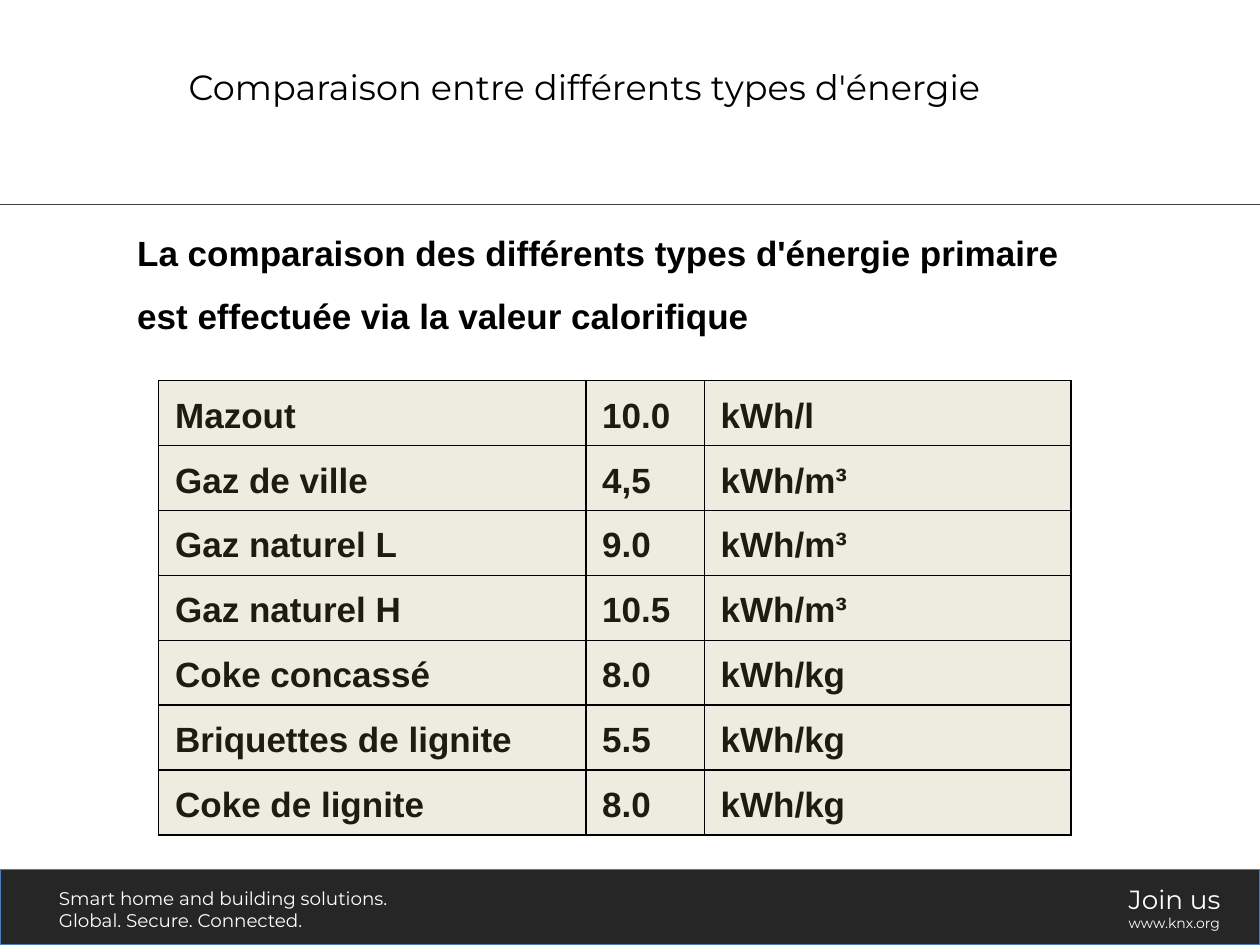
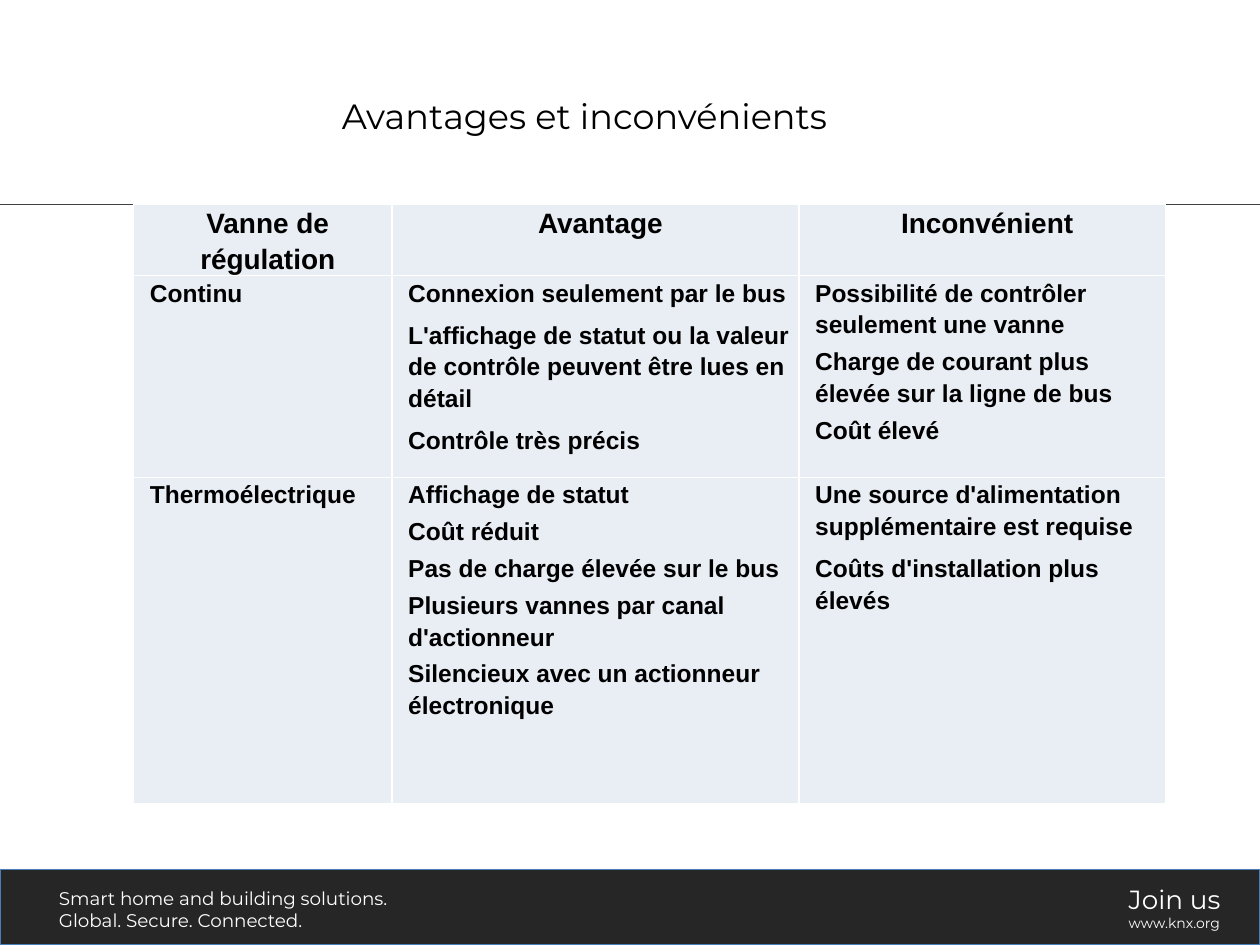
from lxml.etree import SubElement
from pptx import Presentation
from pptx.dml.color import RGBColor
from pptx.enum.shapes import MSO_CONNECTOR, MSO_SHAPE
from pptx.enum.text import MSO_ANCHOR as ANCHOR, MSO_AUTO_SIZE as AUTOSIZE, PP_ALIGN as ALIGN
from pptx.oxml.ns import qn
from pptx.util import Pt

ENERGY_TITLE = "Comparaison entre différents types d'énergie"
ENERGY_INTRO = ("La comparaison des différents types d'énergie primaire "
                "est effectuée via la valeur calorifique")
CALORIFIC_VALUES = [
    ("Mazout", "10.0", "kWh/l"),
    ("Gaz de ville", "4,5", "kWh/m³"),
    ("Gaz naturel L", "9.0", "kWh/m³"),
    ("Gaz naturel H", "10.5", "kWh/m³"),
    ("Coke concassé", "8.0", "kWh/kg"),
    ("Briquettes de lignite", "5.5", "kWh/kg"),
    ("Coke de lignite", "8.0", "kWh/kg"),
]
VALVE_TITLE = "Avantages et inconvénients"
VALVE_HEADINGS = ["Vanne de régulation", "Avantage", "Inconvénient"]
VALVES = [
    ("Continu",
     ["Connexion seulement par le bus",
      "L'affichage de statut ou la valeur de contrôle peuvent être lues en détail",
      "Contrôle très précis"],
     ["Possibilité de contrôler seulement une vanne",
      "Charge de courant plus élevée sur la ligne de bus",
      "Coût élevé"]),
    ("Thermoélectrique",
     ["Affichage de statut",
      "Coût réduit",
      "Pas de charge élevée sur le bus",
      "Plusieurs vannes par canal d'actionneur",
      "Silencieux avec un actionneur électronique"],
     ["Une source d'alimentation supplémentaire est requise",
      "Coûts d'installation plus élevés"]),
]
WIDE_GAPS = {(1, 1), (2, 2)}
FOOTERS = [
    ((37, 699, 293, 45), [("Smart home and building solutions.", 10.5),
                          ("Global. Secure. Connected.", 10.5)]),
    ((886, 696, 94, 51), [("Join us", 15), ("www.knx.org", 8)]),
]

EMU_PER_PX = 9144
WIDTH, HEIGHT, RULE_TOP, BAND_TOP = 1000, 750, 162, 690
BRAND_FONT, TEXT_FONT = "Montserrat", "Arial"
BLACK, WHITE, BAND, BAND_EDGE, RULE = "000000", "FFFFFF", "262626", "4A7EBB", "404040"
SAND, SAND_INK, ICE = "EEECE1", "1E1C11", "E9EDF4"


def px(*lengths):
    scaled = [round(length * EMU_PER_PX) for length in lengths]
    return scaled if len(scaled) > 1 else scaled[0]


def color(hex_code):
    return RGBColor.from_string(hex_code)


def write(paragraph, text, size, font, ink, bold=False):
    run = paragraph.add_run()
    run.text = text
    run.font.size, run.font.name, run.font.bold = Pt(size), font, bold
    run.font.color.rgb = color(ink)


def paragraphs(frame, count):
    return [frame.paragraphs[0]] + [frame.add_paragraph() for _ in range(count - 1)]


def add_text_box(slide, box, wrap):
    frame = slide.shapes.add_textbox(*px(*box)).text_frame
    frame.word_wrap = wrap
    frame.auto_size = AUTOSIZE.SHAPE_TO_FIT_TEXT
    return frame


def add_frame(slide, layout):
    band = slide.shapes.add_shape(MSO_SHAPE.RECTANGLE, *px(0, BAND_TOP, WIDTH, HEIGHT - BAND_TOP))
    band.fill.solid()
    band.fill.fore_color.rgb = color(BAND)
    band.line.color.rgb, band.line.width = color(BAND_EDGE), Pt(0.75)
    band.shadow.inherit = False
    effects = band.element.spPr.find(qn("a:effectLst"))
    shadow = SubElement(effects, qn("a:outerShdw"), blurRad=str(Pt(3.1)), dist=str(Pt(1.8)),
                        dir="5400000", rotWithShape="0")
    tint = SubElement(shadow, qn("a:srgbClr"), val="808080")
    SubElement(tint, qn("a:alpha"), val="35000")

    rule = slide.shapes.add_connector(MSO_CONNECTOR.STRAIGHT, *px(0, RULE_TOP, WIDTH, RULE_TOP))
    rule.line.color.rgb, rule.line.width = color(RULE), Pt(0.5)
    SubElement(rule.element.spPr, qn("a:effectLst"))

    for box, lines in FOOTERS:
        frame = add_text_box(slide, box, wrap=False)
        for paragraph, (text, size) in zip(paragraphs(frame, len(lines)), lines):
            write(paragraph, text, size, BRAND_FONT, WHITE)

    for part in list(slide.shapes):
        if not part.is_placeholder:
            layout.shapes.element.append(part.element)


def set_title(slide, text, top):
    title = slide.shapes.title
    title.left, title.top, title.width, title.height = px(98, top, 732, 79)
    title.text_frame.vertical_anchor = ANCHOR.MIDDLE
    paragraph = title.text_frame.paragraphs[0]
    paragraph.alignment = ALIGN.CENTER
    write(paragraph, text, 20, BRAND_FONT, BLACK)


def add_grid(slide, box, columns, row_count):
    graphic = slide.shapes.add_table(row_count, len(columns), *px(*box))
    graphic.table.first_row = graphic.table.horz_banding = False
    for column, width in zip(graphic.table.columns, columns):
        column.width = px(width)
    return graphic


def fill_cell(cell, lines, size, ink, fill, border, anchor=ANCHOR.TOP,
              align=ALIGN.LEFT, gap=0):
    cell.margin_left, cell.margin_right = px(13, 5)
    cell.margin_top = cell.margin_bottom = 0
    cell.vertical_anchor = anchor
    properties = cell._tc.get_or_add_tcPr()
    for side in ("lnL", "lnR", "lnT", "lnB"):
        edge = SubElement(properties, qn(f"a:{side}"), w=str(Pt(1)))
        SubElement(SubElement(edge, qn("a:solidFill")), qn("a:srgbClr"), val=border)
    cell.fill.solid()
    cell.fill.fore_color.rgb = color(fill)
    for index, (paragraph, text) in enumerate(zip(paragraphs(cell.text_frame, len(lines)), lines)):
        paragraph.alignment, paragraph.line_spacing = align, 1.15
        paragraph.space_before, paragraph.space_after = Pt(gap if index else 0), Pt(3)
        write(paragraph, text, size, TEXT_FONT, ink, bold=True)


def build_energy_slide(slide):
    set_title(slide, ENERGY_TITLE, 29)
    intro = add_text_box(slide, (99, RULE_TOP, 779, 105), wrap=True).paragraphs[0]
    intro.line_spacing = 1.5
    write(intro, ENERGY_INTRO, 20, TEXT_FONT, BLACK, bold=True)
    grid = add_grid(slide, (126, 302, 724, 361), (339, 94, 291), len(CALORIFIC_VALUES))
    for r, energy in enumerate(CALORIFIC_VALUES):
        for c, text in enumerate(energy):
            fill_cell(grid.table.cell(r, c), [text], 20, SAND_INK, SAND, BLACK, ANCHOR.MIDDLE)


def build_valve_slide(slide):
    set_title(slide, VALVE_TITLE, 52)
    row_heights = (53, 160, 259)
    grid = add_grid(slide, (106, RULE_TOP, 819, 484), (205, 323, 291), len(row_heights))
    for row, height in zip(grid.table.rows, row_heights):
        row.height = px(height)
    grid.height = px(484)
    for c, heading in enumerate(VALVE_HEADINGS):
        fill_cell(grid.table.cell(0, c), [heading], 16, BLACK, ICE, WHITE, align=ALIGN.CENTER)
    for r, (valve, pros, cons) in enumerate(VALVES, start=1):
        for c, lines in enumerate(([valve], pros, cons)):
            gap = 3 if (r, c) in WIDE_GAPS else 0
            fill_cell(grid.table.cell(r, c), lines, 14, BLACK, ICE, WHITE, gap=gap)


def main():
    deck = Presentation()
    deck.slide_width, deck.slide_height = px(WIDTH, HEIGHT)
    layout = deck.slide_layouts[5]
    for placeholder in list(layout.placeholders):
        if placeholder.placeholder_format.idx:
            layout.shapes.element.remove(placeholder.element)
    energy, valves = [deck.slides.add_slide(layout) for _ in range(2)]
    add_frame(energy, layout)
    build_energy_slide(energy)
    build_valve_slide(valves)
    deck.save("out.pptx")


if __name__ == "__main__":
    main()
